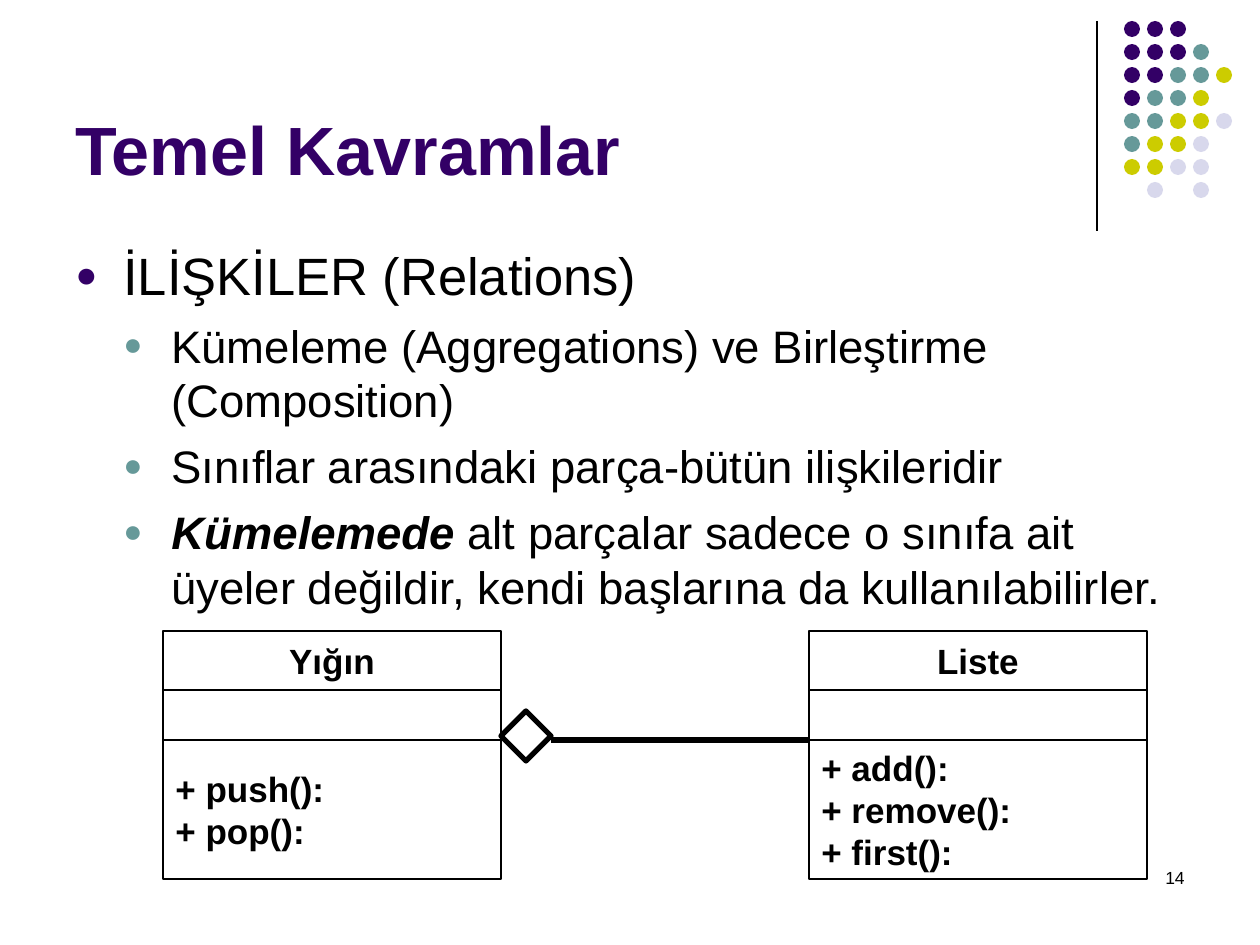
from dataclasses import dataclass

from lxml.etree import SubElement
from pptx import Presentation
from pptx.dml.color import RGBColor as RGB
from pptx.enum.shapes import MSO_CONNECTOR as CONN, MSO_SHAPE as SHAPE
from pptx.enum.text import MSO_ANCHOR as ANCHOR, PP_ALIGN as ALIGN
from pptx.oxml.ns import qn
from pptx.util import Emu, Pt


@dataclass(frozen=True)
class Theme:
    """Colours, font and type sizes."""
    font: str = "Arial"
    ink: str = "000000"
    plum: str = "330066"
    teal: str = "669999"
    lime: str = "CCCC00"
    mist: str = "D8D8EC"
    title: int = 39
    head: int = 30
    body: int = 26
    label: int = 20
    note: int = 10
    thin: float = 0.75
    thick: int = 3


T = Theme()
DOTS = ("PPP", "PPPT", "PPTTL", "PTTL", "TTLLM", "TLLM", "LLMM", " M M")
HUES = {"P": T.plum, "T": T.teal, "L": T.lime, "M": T.mist}
POINTS = (
    [("Kümeleme (Aggregations) ve Birleştirme (Composition)", False)],
    [("Sınıflar arasındaki parça-bütün ilişkileridir", False)],
    [("Kümelemede", True),
     (" alt parçalar sadece o sınıfa ait üyeler değildir, "
      "kendi başlarına da kullanılabilirler.", False)],
)


def px(n):
    """Turn pixels into EMU."""
    return Emu(round(n * 914400 / 126))


def write(para, text, size, color=T.ink, bold=False, italic=False):
    """Add one formatted run to a paragraph."""
    run = para.add_run()
    run.text = text
    font = run.font
    font.name, font.size = T.font, Pt(size)
    font.bold, font.italic = bold, italic
    font.color.rgb = RGB.from_string(color)


def fill(frame, lines, size, align=ALIGN.LEFT, **style):
    """Write lines as paragraphs of a text frame."""
    for i, line in enumerate(lines):
        para = frame.add_paragraph() if i else frame.paragraphs[0]
        para.alignment = align
        write(para, line, size, **style)


def box(slide, x, y, w, h, anchor=ANCHOR.TOP):
    """Add a wrapping text box and return its frame."""
    frame = slide.shapes.add_textbox(px(x), px(y), px(w), px(h)).text_frame
    frame.word_wrap = True
    frame.vertical_anchor = anchor
    return frame


def shape(slide, kind, x, y, w, h, color=None, line=None):
    """Add a flat preset shape."""
    item = slide.shapes.add_shape(kind, px(x), px(y), px(w), px(h))
    item.shadow.inherit = False
    if color:
        item.fill.solid()
        item.fill.fore_color.rgb = RGB.from_string(color)
    else:
        item.fill.background()
    if line:
        item.line.width = Pt(line)
        item.line.color.rgb = RGB.from_string(T.ink)
    else:
        item.line.fill.background()
    return item


def rule(slide, x1, y1, x2, y2, width):
    """Add a straight line."""
    line = slide.shapes.add_connector(
        CONN.STRAIGHT, px(x1), px(y1), px(x2), px(y2))
    line.line.width = Pt(width)
    line.line.color.rgb = RGB.from_string(T.ink)
    SubElement(line._element.spPr, qn("a:effectLst"))


def dots(slide, x, y, step, size):
    """Draw the corner grid of dots."""
    for row, keys in enumerate(DOTS):
        for col, key in enumerate(keys):
            if key in HUES:
                shape(slide, SHAPE.OVAL, x + col * step, y + row * step,
                      size, size, HUES[key])


def bullet(para, level, color, before):
    """Give a paragraph a hanging round bullet."""
    para.level = level
    para.space_before = Pt(before)
    props = para._p.get_or_add_pPr()
    props.set("marL", str(px(48 * (level + 1))))
    props.set("indent", str(-px(48)))
    SubElement(SubElement(props, qn("a:buClr")), qn("a:srgbClr"), val=color)
    SubElement(props, qn("a:buSzPct"), val="70000")
    SubElement(props, qn("a:buFont"), typeface=T.font)
    SubElement(props, qn("a:buChar"), char="●")


def outline(slide):
    """Write the heading and its points."""
    frame = box(slide, 63, 237, 1134, 394)
    head = frame.paragraphs[0]
    bullet(head, 0, T.plum, 7.5)
    write(head, "İLİŞKİLER (Relations)", T.head)
    for point in POINTS:
        para = frame.add_paragraph()
        bullet(para, 1, T.teal, 6.5)
        for text, strong in point:
            write(para, text, T.body, bold=strong, italic=strong)


def entity(slide, x, name, calls):
    """Draw a class box with name, fields and methods."""
    rows = ((631, 59, [name], ALIGN.CENTER),
            (690, 50, [], ALIGN.LEFT),
            (740, 139, calls, ALIGN.LEFT))
    for y, h, lines, align in rows:
        cell = shape(slide, SHAPE.RECTANGLE, x, y, 338, h, line=T.thin)
        frame = cell.text_frame
        frame.word_wrap = False
        frame.vertical_anchor = ANCHOR.MIDDLE
        fill(frame, lines, T.label, align, bold=True)


def main():
    """Build and save the slide."""
    deck = Presentation()
    deck.slide_width, deck.slide_height = px(1260), px(945)
    slide = deck.slides.add_slide(deck.slide_layouts[6])
    rule(slide, 1097, 21, 1097, 231, T.thin)
    dots(slide, 1124, 21, 23, 16)
    fill(box(slide, 903, 861, 294, 63), ["14"], T.note, ALIGN.RIGHT)
    fill(box(slide, 63, 16, 1040, 179, ANCHOR.BOTTOM), ["Temel Kavramlar"],
         T.title, color=T.plum, bold=True)
    outline(slide)
    entity(slide, 163, "Yığın", ["+ push():", "+ pop():"])
    entity(slide, 809, "Liste", ["+ add():", "+ remove():", "+ first():"])
    shape(slide, SHAPE.DIAMOND, 501, 711, 50, 50, line=T.thick)
    rule(slide, 551, 740, 809, 740, T.thick)
    deck.save("out.pptx")


if __name__ == "__main__":
    main()
